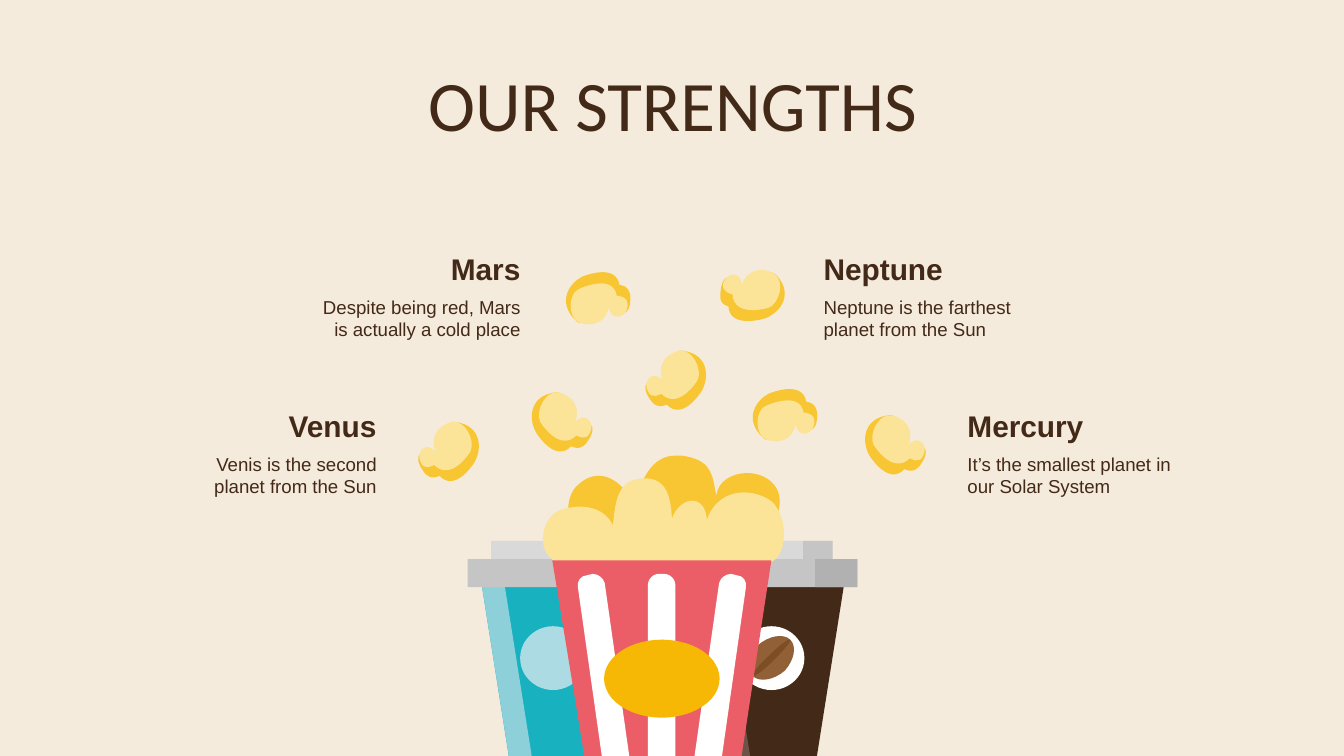
"""Build the "Our strengths" slide with popcorn, drinks and four labelled points."""

from lxml.etree import SubElement
from pptx import Presentation
from pptx.dml.color import RGBColor
from pptx.enum.shapes import MSO_SHAPE
from pptx.enum.text import MSO_ANCHOR, MSO_AUTO_SIZE, PP_ALIGN
from pptx.oxml.ns import qn
from pptx.util import Pt

CREAM = RGBColor(0xF5, 0xEB, 0xDC)
BROWN = RGBColor(0x43, 0x29, 0x18)
LIGHT_BROWN = RGBColor(0x69, 0x54, 0x47)
BEAN = RGBColor(0x92, 0x60, 0x37)
BEAN_GROOVE = RGBColor(0x7D, 0x4E, 0x25)
TEAL = RGBColor(0x17, 0xB1, 0xBF)
LIGHT_TEAL = RGBColor(0x8E, 0xD0, 0xD9)
PALE_TEAL = RGBColor(0xAD, 0xDB, 0xE3)
LIGHT_GRAY = RGBColor(0xD9, 0xD9, 0xD9)
GRAY = RGBColor(0xC6, 0xC5, 0xC5)
DARK_GRAY = RGBColor(0xB2, 0xB1, 0xB1)
WHITE = RGBColor(0xFF, 0xFF, 0xFF)
GOLD = RGBColor(0xF8, 0xC6, 0x33)
BUTTER = RGBColor(0xFB, 0xE3, 0x98)
RED = RGBColor(0xEB, 0x5E, 0x68)
AMBER = RGBColor(0xF6, 0xB8, 0x04)

GRID = 0.72
CURVE_STEPS = 8
MARGIN = Pt(7.2)

TITLE = "OUR STRENGTHS"
STRENGTHS = [
    ("Mars", "Despite being red, Mars is actually a cold place", 218, 175, PP_ALIGN.RIGHT),
    ("Venus", "Venis is the second planet from the Sun", 111, 292, PP_ALIGN.RIGHT),
    ("Neptune", "Neptune is the farthest planet from the Sun", 603, 175, PP_ALIGN.LEFT),
    ("Mercury", "It’s the smallest planet in our Solar System", 710, 292, PP_ALIGN.LEFT),
]

TILTED = [
    (GOLD, [(11, 40), (0, 26, 10, 21, 17, 29), (27, 24, 22, 0, 34, 2), (55, 5, 53, 24, 48, 32),
            (48, 32, 34, 55, 22, 42), (22, 42, 16, 46, 11, 40)]),
    (BUTTER, [(8, 32), (4, 24, 12, 16, 19, 24), (15, 14, 20, 5, 31, 2), (41, 0, 49, 16, 45, 24),
              (45, 24, 31, 47, 18, 34), (18, 34, 11, 39, 8, 32)]),
]
FLAT = [
    (GOLD, [(56, 25), (57, 42, 46, 41, 44, 30), (34, 29, 24, 51, 16, 44), (0, 29, 12, 15, 20, 11),
            (20, 11, 45, 0, 48, 17), (48, 17, 55, 17, 56, 25)]),
    (BUTTER, [(54, 33), (53, 42, 42, 44, 40, 34), (38, 44, 29, 49, 18, 45), (9, 41, 10, 23, 18, 20),
              (18, 20, 43, 8, 46, 25), (46, 25, 55, 25, 54, 33)]),
]
TURNED = [
    (GOLD, [(1, 23), (2, 5, 12, 8, 13, 19), (23, 21, 35, 0, 43, 9), (57, 25, 43, 38, 34, 41),
            (34, 41, 8, 49, 7, 32), (7, 32, 0, 31, 1, 23)]),
    (BUTTER, [(3, 15), (6, 6, 17, 6, 17, 16), (20, 6, 30, 2, 40, 7), (50, 12, 45, 30, 37, 33),
              (37, 33, 11, 41, 10, 23), (10, 23, 2, 22, 3, 15)]),
]
KERNELS = [
    (TURNED, 535, 196, None), (TILTED, 640, 307, 55), (TILTED, 392, 290, 55),
    (FLAT, 413, 195, None), (FLAT, 552, 282, None),
    (TILTED, 305, 312, None), (TILTED, 474, 259, None),
]

CUPS = [(510.5, BROWN, LIGHT_BROWN, WHITE), (348, TEAL, LIGHT_TEAL, PALE_TEAL)]
CUP_BODY = [(9, 426), (119, 426), (97, 565), (31, 565)]
CUP_STRIPE = [(9, 426), (26, 426), (48, 565), (31, 565)]
LID = [
    (LIGHT_GRAY, 17.5, 402.5, 91.5, 21), (GRAY, 87, 402.5, 22, 21),
    (GRAY, 0, 416, 127.5, 21), (DARK_GRAY, 96, 416, 31.5, 21),
]
COFFEE_BEAN = [
    (BEAN, [(588, 476), (593, 481, 591, 491, 584, 499), (576, 506, 565, 508, 560, 503),
            (555, 498, 556, 488, 564, 480), (572, 473, 583, 471, 588, 476)]),
    (BEAN_GROOVE, [(588, 476), (589, 477, 583, 484, 576, 491), (568, 499, 561, 504, 560, 503),
                   (559, 502, 564, 495, 572, 488), (580, 480, 587, 475, 588, 476)]),
]
POPCORN_PILE = [
    (GOLD, [(503, 339), (484, 339, 478, 358, 471, 374), (467, 366, 458, 354, 445, 354),
            (441, 354, 435, 356, 430, 361), (420, 369, 417, 397, 443, 409), (571, 397),
            (592, 367, 573, 352, 556, 352), (545, 352, 534, 358, 533, 369),
            (530, 352, 529, 342, 507, 339), (506, 339, 505, 339, 503, 339)]),
    (BUTTER, [(416, 419), (398, 413, 402, 386, 416, 380), (428, 375, 449, 375, 456, 391),
              (458, 376, 458, 357, 478, 356), (497, 355, 499, 371, 500, 386),
              (506, 369, 525, 367, 526, 387), (532, 368, 552, 361, 571, 371),
              (588, 380, 588, 421, 568, 419)]),
]
BUCKET = [(411, 417), (574, 417), (548, 588), (439, 588)]
SIDE_STRIPE = [(40, 141), (41, 146, 37, 150, 33, 150), (29, 151), (25, 152, 20, 148, 20, 144),
               (1, 10), (0, 6, 3, 1, 8, 1), (12, 0), (16, 0, 20, 3, 21, 7)]


def paint(shape, color):
    shape.shadow.inherit = False
    shape.fill.solid()
    shape.fill.fore_color.rgb = color
    shape.line.fill.background()


def flatten(steps):
    points = list(steps[0])
    for step in steps[1:]:
        if len(step) == 1:
            points += step
            continue
        corners = list(zip(points[-1], *step))
        for index in range(1, CURVE_STEPS + 1):
            t = index / CURVE_STEPS
            u = 1 - t
            points.append(tuple(
                int(u**3 * a + 3 * u * u * t * b + 3 * u * t * t * c + t**3 * d)
                for a, b, c, d in corners
            ))
    return points


def add_outline(slide, outline, color, left=0, top=0, mirror_width=None):
    def place(x, y):
        x = x if mirror_width is None else mirror_width - x
        return Pt((left + x) * GRID), Pt((top + y) * GRID)

    steps = [[place(*pair) for pair in zip(step[::2], step[1::2])] for step in outline]
    points = flatten(steps)
    builder = slide.shapes.build_freeform(*points[0])
    builder.add_line_segments(points[1:], close=True)
    shape = builder.convert_to_shape()
    paint(shape, color)

    geometry = next(shape.element.iter(qn("a:pathLst")))[0]
    for child in list(geometry):
        geometry.remove(child)
    for index, step in enumerate(steps):
        tag = "a:moveTo" if index == 0 else "a:lnTo" if len(step) == 1 else "a:cubicBezTo"
        segment = SubElement(geometry, qn(tag))
        for x, y in step:
            SubElement(segment, qn("a:pt"), x=str(x - shape.left), y=str(y - shape.top))
    SubElement(geometry, qn("a:close"))


def add_preset(slide, kind, color, *box):
    shape = slide.shapes.add_shape(kind, *(Pt(value * GRID) for value in box))
    paint(shape, color)
    return shape


def write(shape, text, box, size, font_name, align, anchor, bold=False):
    shape.left, shape.top, shape.width, shape.height = (Pt(value * GRID) for value in box)
    frame = shape.text_frame
    frame.word_wrap = True
    frame.auto_size = MSO_AUTO_SIZE.NONE
    frame.vertical_anchor = anchor
    frame.margin_left = frame.margin_right = frame.margin_top = frame.margin_bottom = MARGIN
    paragraph = frame.paragraphs[0]
    paragraph.alignment = align
    paragraph.space_before = Pt(0)
    run = paragraph.add_run()
    run.text = text
    run.font.size = Pt(size)
    run.font.name = font_name
    run.font.bold = bold
    run.font.color.rgb = BROWN


def add_label(slide, text, box, *style):
    write(slide.shapes.add_textbox(0, 0, 0, 0), text, box, *style)


def add_cup(slide, left, body, stripe, badge):
    add_outline(slide, CUP_BODY, body, left)
    add_outline(slide, CUP_STRIPE, stripe, left)
    for color, x, top, width, height in LID:
        add_preset(slide, MSO_SHAPE.RECTANGLE, color, left + x, top, width, height)
    add_preset(slide, MSO_SHAPE.OVAL, badge, left + 39, 466, 49, 47.5)


def main():
    presentation = Presentation()
    presentation.slide_width, presentation.slide_height = Pt(720), Pt(405)
    slide = presentation.slides.add_slide(presentation.slide_layouts[5])
    slide.background.fill.solid()
    slide.background.fill.fore_color.rgb = CREAM

    write(slide.shapes.title, TITLE, (79, 59, 843, 35), 38, "Calibri",
          PP_ALIGN.CENTER, MSO_ANCHOR.MIDDLE)
    for heading, detail, left, top, align in STRENGTHS:
        add_label(slide, detail, (left, top + 35, 179, 53), 10, "Arial", align, MSO_ANCHOR.TOP)
        add_label(slide, heading, (left, top, 179, 48), 16, "Arial", align, MSO_ANCHOR.BOTTOM, True)

    coffee, soda = CUPS
    add_cup(slide, *coffee)
    for color, outline in COFFEE_BEAN:
        add_outline(slide, outline, color)
    add_cup(slide, *soda)

    for kernel, left, top, mirror_width in KERNELS:
        for color, outline in kernel:
            add_outline(slide, outline, color, left, top, mirror_width)
    for color, outline in POPCORN_PILE:
        add_outline(slide, outline, color)

    add_outline(slide, BUCKET, RED)
    middle_stripe = add_preset(slide, MSO_SHAPE.ROUNDED_RECTANGLE, WHITE, 482, 427, 20.5, 151.5)
    middle_stripe.adjustments[0] = 0.42
    add_outline(slide, SIDE_STRIPE, WHITE, 429, 427)
    add_outline(slide, SIDE_STRIPE, WHITE, 516, 427, 40)
    add_preset(slide, MSO_SHAPE.OVAL, AMBER, 449.5, 476, 86, 58)
    presentation.save("out.pptx")


if __name__ == "__main__":
    main()
